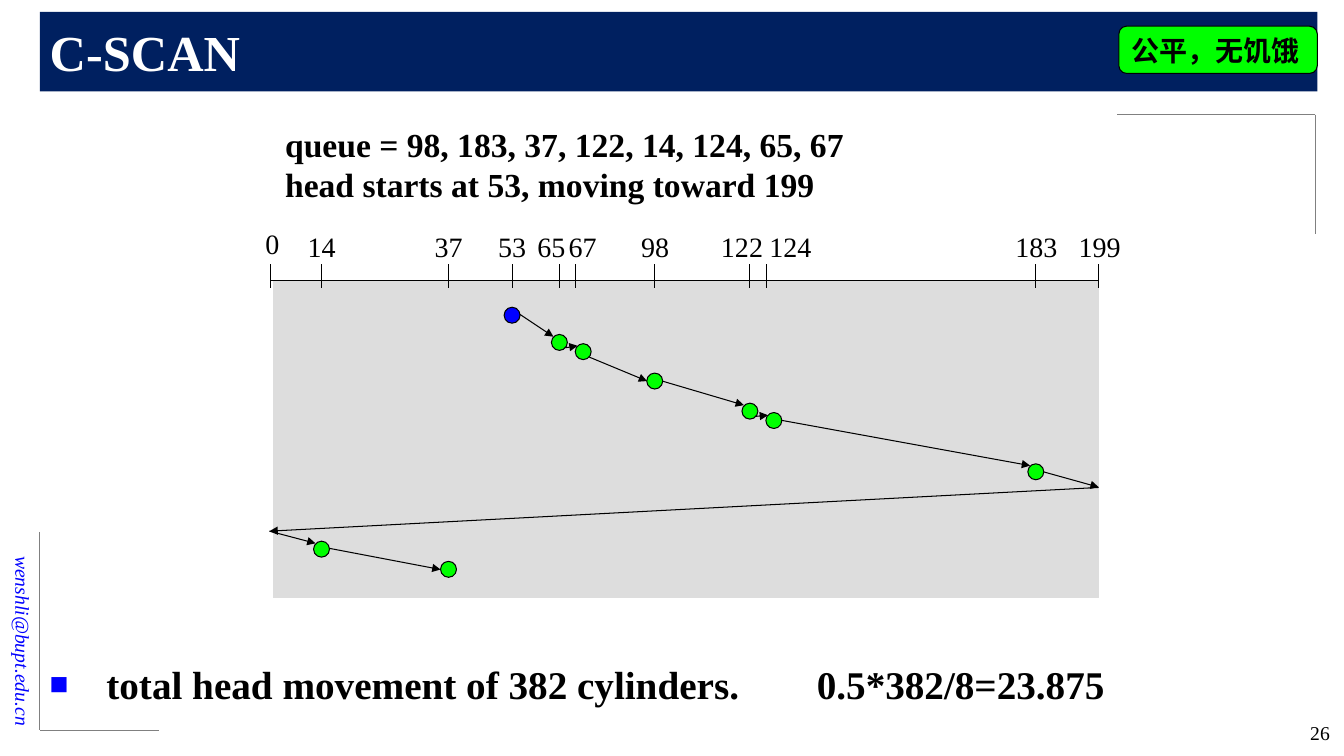
"""Draw the C-SCAN disk scheduling slide."""
from lxml import etree
from pptx import Presentation
from pptx.dml.color import RGBColor
from pptx.enum.shapes import MSO_CONNECTOR, MSO_SHAPE
from pptx.enum.text import MSO_ANCHOR, PP_ALIGN
from pptx.oxml.ns import qn
from pptx.util import Pt

LINE = MSO_CONNECTOR.STRAIGHT
RECT, PILL, OVAL = MSO_SHAPE.RECTANGLE, MSO_SHAPE.ROUNDED_RECTANGLE, MSO_SHAPE.OVAL
TOP, MID = MSO_ANCHOR.TOP, MSO_ANCHOR.MIDDLE
LEFT, MIDDLE, RIGHT = PP_ALIGN.LEFT, PP_ALIGN.CENTER, PP_ALIGN.RIGHT

ROMAN, HAN = "Times New Roman", "Noto Sans CJK SC"
COLORS = {"navy": "002060", "white": "FFFFFF", "black": "000000", "blue": "0000FF",
          "green": "00FF00", "pale": "DDDDDD", "gray": "808080"}

AXIS = 200.2
DOT = 11.4
STOPS = [
    (0, 193, 194.5, 158.4), (14, 229.7, 229.7, 160.6), (37, 320.4, 320.4, 160.6),
    (53, 365.8, 365.8, 160.6), (65, 399.6, 393.8, 160.6), (67, 411.1, 416.2, 160.6),
    (98, 467.7, 468, 160.6), (122, 535.7, 530, 160.6), (124, 547.2, 564.5, 160.6),
    (183, 739.6, 740.2, 160.6), (199, 784.8, 785.5, 160.6),
]
DOTS = [
    (365.8, 225.2, "blue"), (399.6, 244.6, "green"), (416.6, 251.2, "green"),
    (467.7, 272.2, "green"), (535.7, 293.7, "green"), (552.8, 300.4, "green"),
    (739.9, 337, "green"), (229.7, 392.3, "green"), (320.4, 406.7, "green"),
]
MOVES = [
    (371.5, 224.6, 395.3, 240.5), (403.9, 248.4, 412.6, 247),
    (420.5, 254.9, 462.2, 272.2), (473, 272.2, 531.4, 289.4),
    (540, 297.4, 548.6, 296.6), (558, 300.2, 735.8, 332.6),
    (745.2, 337, 784.8, 348), (784.8, 348.2, 192.5, 379.4),
    (192.5, 379.4, 225.4, 388.1), (235.4, 391.7, 314.7, 406.8),
]
CORNERS = [
    (28.4, 380, 28.4, 521.5), (113.3, 521.5, 28.4, 521.5),
    (939.6, 82, 939.6, 167), (939.6, 82, 797.8, 82),
]


def rgb(name):
    """Look up a colour by name."""
    return RGBColor.from_string(COLORS[name])


def write(shape, text, size, color="black", bold=False, italic=False,
          align=LEFT, anchor=TOP, face=ROMAN, wrap=True):
    """Set and style the text of a shape."""
    frame = shape.text_frame
    frame.text = text
    frame.word_wrap = wrap
    frame.vertical_anchor = anchor
    for para in frame.paragraphs:
        para.alignment = align
        for run in para.runs:
            font = run.font
            font.name, font.size = face, Pt(size)
            font.bold, font.italic = bold, italic
            font.color.rgb = rgb(color)
            etree.SubElement(run._r.get_or_add_rPr(), qn("a:ea"), typeface=face)


def label(slide, box, text, size, **style):
    """Add a text box."""
    shape = slide.shapes.add_textbox(*map(Pt, box))
    write(shape, text, size, **style)
    return shape


def block(slide, kind, box, fill, edge=None):
    """Add a filled preset shape."""
    shape = slide.shapes.add_shape(kind, *map(Pt, box))
    shape.shadow.inherit = False
    shape.fill.solid()
    shape.fill.fore_color.rgb = rgb(fill)
    if edge:
        shape.line.color.rgb = rgb(edge)
        shape.line.width = Pt(0.75)
    else:
        shape.line.fill.background()
    return shape


def rule(slide, ends, color="black", width=0.75, arrow=False):
    """Add a straight line, with an arrowhead if asked."""
    line = slide.shapes.add_connector(LINE, *map(Pt, ends))
    line.line.color.rgb = rgb(color)
    line.line.width = Pt(width)
    if arrow:
        etree.SubElement(line.line._get_or_add_ln(), qn("a:tailEnd"), type="triangle")
    etree.SubElement(line._element.spPr, qn("a:effectLst"))


def bullet(para, indent, tab):
    """Give a paragraph a square bullet and a tab stop."""
    props = para._p.get_or_add_pPr()
    props.set("marL", str(Pt(indent)))
    props.set("indent", str(-Pt(indent)))
    tint = etree.SubElement(props, qn("a:buClr"))
    etree.SubElement(tint, qn("a:srgbClr"), val=COLORS["blue"])
    etree.SubElement(props, qn("a:buSzPct"), val="80000")
    etree.SubElement(props, qn("a:buFont"), typeface=ROMAN)
    etree.SubElement(props, qn("a:buChar"), char="■")
    tabs = etree.SubElement(props, qn("a:tabLst"))
    etree.SubElement(tabs, qn("a:tab"), pos=str(Pt(tab)), algn="l")


def frame(slide):
    """Add the title bar, badge, corner lines, address and page number."""
    label(slide, (-78.5, 418.3, 190, 24.5), "wenshli@bupt.edu.cn", 14, color="blue",
          italic=True, align=RIGHT, anchor=MID).rotation = 90
    for ends in CORNERS:
        rule(slide, ends, "gray", 0.5)
    bar = block(slide, RECT, (28.4, 8.6, 912.6, 56.7), "navy")
    write(bar, "C-SCAN", 36, color="white", bold=True, anchor=MID)
    badge = block(slide, PILL, (799.2, 18.7, 141.8, 33.8), "green", "black")
    write(badge, "公平，无饥饿", 20, bold=True, face=HAN)
    label(slide, (877, 511.2, 80, 26), "26", 14, align=RIGHT)


def scale(slide):
    """Add the cylinder axis with its ticks and labels."""
    block(slide, RECT, (195.1, AXIS, 589.7, 226.8), "pale", "pale")
    rule(slide, (STOPS[0][1], AXIS, STOPS[-1][1], AXIS))
    for stop, x, mid, top in STOPS:
        rule(slide, (x, AXIS - 11.5, x, AXIS + 5.7))
        label(slide, (mid - 23, top, 46, 31), str(stop), 20, align=MIDDLE, wrap=False)


def route(slide):
    """Add the visited cylinders and the head moves."""
    for x, y, fill in DOTS:
        block(slide, OVAL, (x - DOT / 2, y - DOT / 2, DOT, DOT), fill, "black")
    for ends in MOVES:
        rule(slide, ends, arrow=True)


def main():
    """Build and save the slide."""
    deck = Presentation()
    deck.slide_width, deck.slide_height = Pt(960), Pt(540)
    slide = deck.slides.add_slide(deck.slide_layouts[6])
    frame(slide)
    label(slide, (196.6, 85, 417.6, 65.5), "queue = 98, 183, 37, 122, 14, 124, 65, 67\n"
          "head starts at 53, moving toward 199", 24, bold=True, wrap=False)
    scale(slide)
    route(slide)
    total = label(slide, (28.4, 468, 891.4, 41),
                  "total head movement of 382 cylinders.\t0.5*382/8=23.875",
                  28, bold=True, anchor=MID)
    bullet(total.text_frame.paragraphs[0], 40.5, 548)
    deck.save("out.pptx")


if __name__ == "__main__":
    main()
